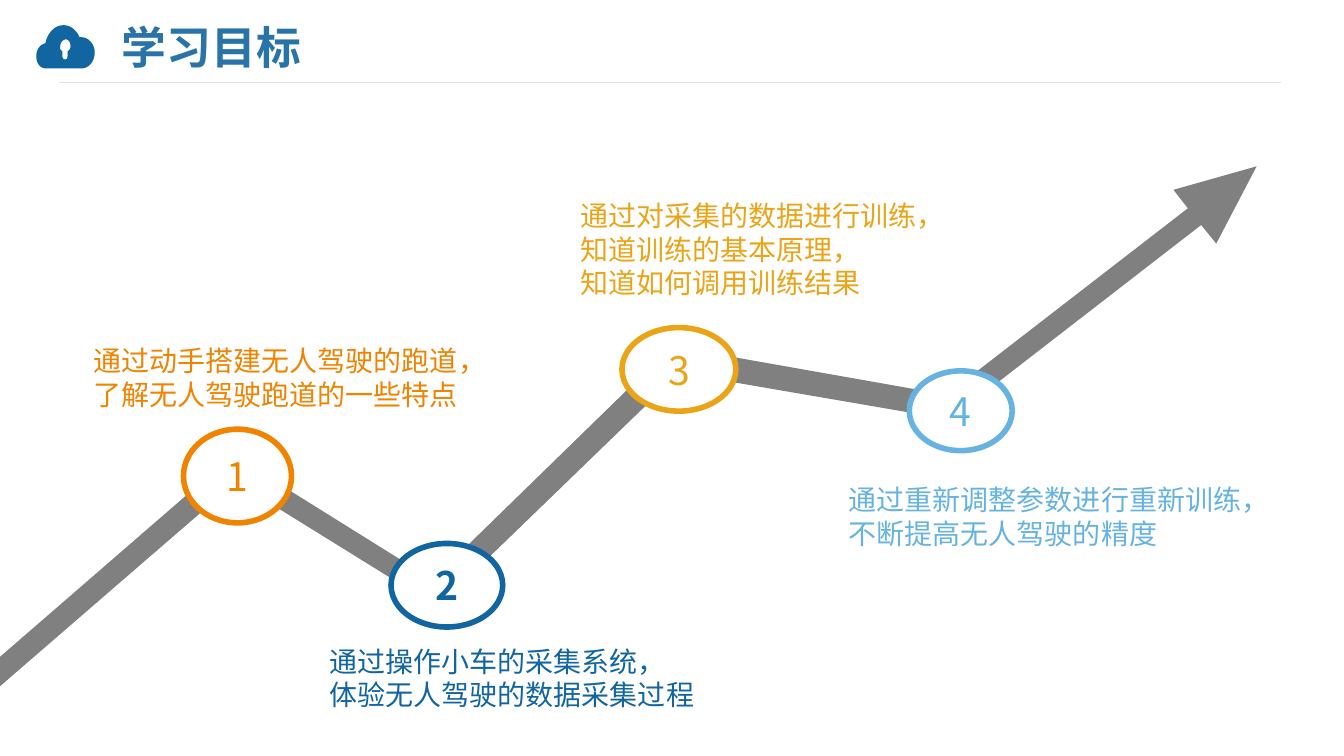
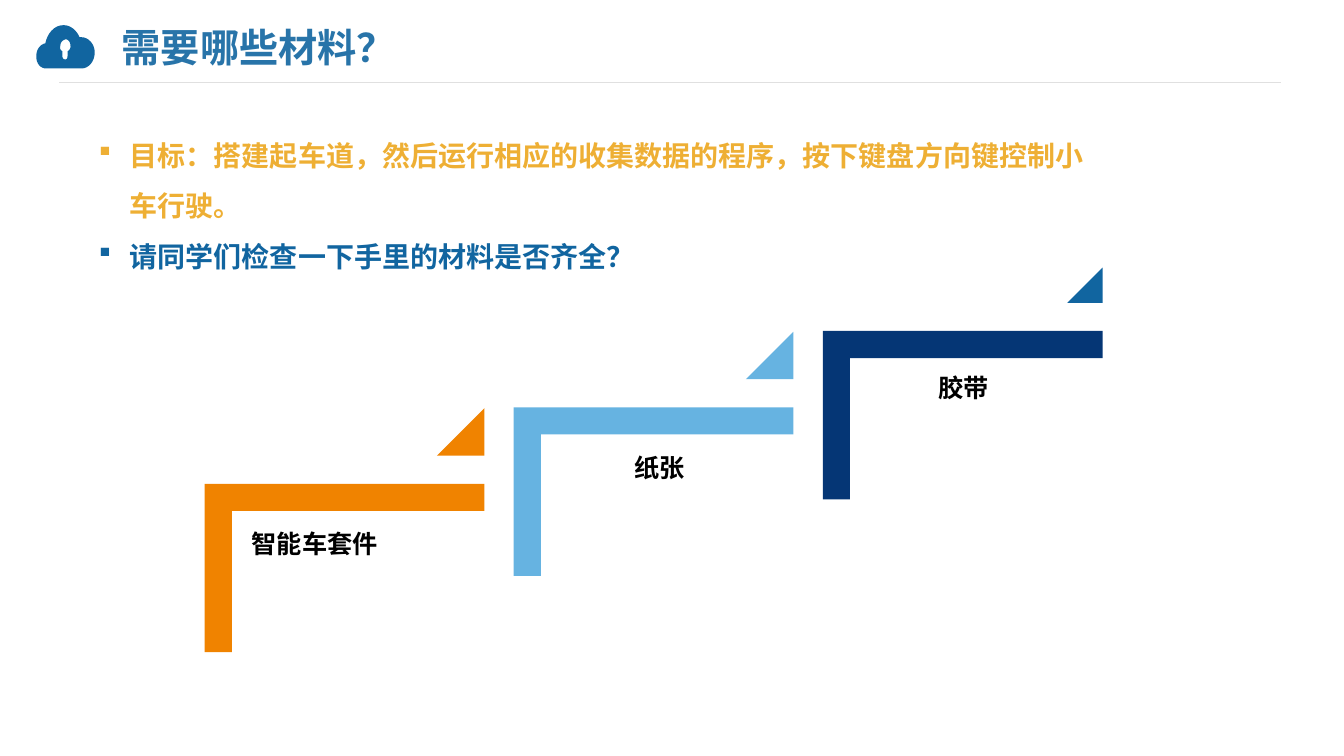
from lxml.etree import SubElement
from pptx import Presentation
from pptx.dml.color import RGBColor
from pptx.enum.shapes import MSO_CONNECTOR, MSO_SHAPE
from pptx.enum.text import MSO_ANCHOR, PP_ALIGN
from pptx.oxml.ns import qn
from pptx.util import Inches, Pt

# The slide is a grid of 160 columns by 90 rows; every length is in cells.
CELL = Inches(1 / 12)
COLS, ROWS = 160, 90
FONT = "Noto Sans CJK SC"

BLUE, NAVY, SKY = "1165A0", "053675", "66B3E1"
ORANGE, GOLD, AMBER = "F08300", "EBA417", "EEAF34"
TITLE_BLUE, GREY, RULE_GREY = "2874A9", "808080", "E0E0E0"
BLACK, WHITE = "000000", "FFFFFF"

# Icon outline in hundredths of an inch: start, then cubic curves;
# a single point is a straight segment.
CLOUD = [(81, 37), [(80, 37), (80, 37), (79, 37)], [(76, 30), (70, 25), (63, 25)],
         [(54, 25), (47, 33), (45, 43)], [(40, 44), (36, 49), (36, 56)],
         [(36, 63), (40, 68), (46, 68)], [(81, 68)],
         [(88, 68), (94, 61), (94, 52)], [(94, 44), (88, 37), (81, 37)]]
KEYHOLE = [(67, 51), [(67, 56)], [(67, 58), (66, 59), (65, 59)],
           [(63, 59), (62, 58), (62, 56)], [(62, 51)], [(60, 50), (59, 48), (60, 45)],
           [(60, 42), (62, 40), (65, 39)], [(68, 39), (70, 42), (70, 46)],
           [(70, 48), (69, 50), (67, 51)]]

ROAD = [(0, 78.2), (27, 54.8), (27.6, 54.4), (28.4, 54.6), (51.5, 69), (79.4, 41.8),
        (80.4, 40.4), (81.6, 41.5), (112.7, 47), (141.8, 24.5), (143.5, 26.4),
        (113.4, 49.7), (112.6, 50.4), (111.7, 49.7), (80.9, 44.4), (53, 71.4),
        (52.6, 72.2), (51.5, 71.9), (28.1, 57.4), (0, 81.7)]
ARROWHEAD = [(149.6, 19.8), (139.7, 22.6), (142.2, 25.8), (144.8, 29)]

# Colour, ellipse box, text box, lines
GOALS = [
    (ORANGE, (21.85, 51.1, 12.85, 11.15), (9.95, 40.3, 54.5, 9.25),
     ["通过动手搭建无人驾驶的跑道，", "了解无人驾驶跑道的一些特点"]),
    (BLUE, (46.55, 64.7, 13.3, 9.95), (38.05, 76.1, 54, 11.3),
     ["通过操作小车的采集系统，", "体验无人驾驶的数据采集过程"]),
    (GOLD, (74.05, 39, 13.55, 9.95), (67.9, 23.05, 63.85, 14.65),
     ["通过对采集的数据进行训练，", "知道训练的基本原理，", "知道如何调用训练结果"]),
    (SKY, (108.25, 44.15, 12.25, 9.5), (99.85, 56.9, 55.45, 9.5),
     ["通过重新调整参数进行重新训练，", "不断提高无人驾驶的精度"]),
]

# Label, step colour, flag colour, flag size, label offset from the step's corner
MATERIALS = [
    ("智能车套件", ORANGE, ORANGE, 5.65, (3.2, 3.35)),
    ("纸张", SKY, SKY, 5.65, (12, 3.35)),
    ("胶带", NAVY, BLUE, 4.2, (11.35, 2.95)),
]
BULLETS = [
    ("目标：搭建起车道，然后运行相应的收集数据的程序，按下键盘方向键控制小车行驶。", AMBER),
    ("请同学们检查一下手里的材料是否齐全？", BLUE),
]


def rgb(color):
    return RGBColor.from_string(color)


def cells(*values):
    return [round(v * CELL) for v in values]


def paint(sp, fill, line=None, width=4):
    sp.shadow.inherit = False
    sp.fill.solid()
    sp.fill.fore_color.rgb = rgb(fill)
    if line:
        sp.line.color.rgb = rgb(line)
        sp.line.width = Pt(width)
    else:
        sp.line.fill.background()
    return sp


def add_preset(s, kind, box, fill, line=None):
    return paint(s.shapes.add_shape(kind, *cells(*box)), fill, line)


def add_outline(s, contours, fill, unit=CELL):
    """Draw closed contours as one shape; the later ones are holes."""
    first, *holes = [[(x * unit, y * unit) for x, y in contour] for contour in contours]
    builder = s.shapes.build_freeform(*first[0])
    builder.add_line_segments(first[1:], close=True)
    for hole in holes:
        builder.move_to(*hole[0])
        builder.add_line_segments(hole[1:], close=True)
    return paint(builder.convert_to_shape(), fill)


def flatten(outline, steps=8):
    """Turn cubic curves into short straight segments."""
    points = [outline[0]]
    for segment in outline[1:]:
        if len(segment) == 1:
            points += segment
            continue
        curve = [points[-1], *segment]
        for i in range(1, steps + 1):
            t = i / steps
            weights = ((1 - t) ** 3, 3 * t * (1 - t) ** 2, 3 * t * t * (1 - t), t ** 3)
            points.append(tuple(sum(w * pt[axis] for w, pt in zip(weights, curve))
                                for axis in (0, 1)))
    return points


def write(p, text, size, color, bold=False, latin=FONT):
    r = p.add_run()
    r.text = text
    r.font.size = Pt(size)
    r.font.bold = bold
    r.font.name = latin
    r.font.color.rgb = rgb(color)
    SubElement(r.font._element, qn("a:ea"), typeface=FONT)


def add_text(s, box, lines, size, color, bold=False):
    tf = s.shapes.add_textbox(*cells(*box)).text_frame
    tf.word_wrap = True
    for i, line in enumerate(lines):
        p = tf.add_paragraph() if i else tf.paragraphs[0]
        write(p, line, size, color, bold)
    return tf


def set_insets(tf, left, top, right, bottom):
    tf.margin_left, tf.margin_top = Inches(left), Inches(top)
    tf.margin_right, tf.margin_bottom = Inches(right), Inches(bottom)


def add_slide(prs, title, size):
    """Add a slide with the shared rule, icon and title."""
    s = prs.slides.add_slide(prs.slide_layouts[6])
    rule = s.shapes.add_connector(MSO_CONNECTOR.STRAIGHT, *cells(152.5, 9.84, 7, 9.84))
    rule.line.color.rgb = rgb(RULE_GREY)
    rule.line.width = Pt(0.75)
    SubElement(rule._element.spPr, qn("a:effectLst"))
    add_outline(s, [flatten(CLOUD), flatten(KEYHOLE)], BLUE, Inches(0.01))
    tf = add_text(s, (14.5, 2.4, 106.7, 6.25), [title], size, TITLE_BLUE, True)
    set_insets(tf, 0, 0, 0, 0)
    tf.vertical_anchor = MSO_ANCHOR.MIDDLE
    return s


def add_goal(s, number, color, ellipse, box, lines):
    tf = add_preset(s, MSO_SHAPE.OVAL, ellipse, WHITE, color).text_frame
    tf.word_wrap = False
    tf.vertical_anchor = MSO_ANCHOR.MIDDLE
    p = tf.paragraphs[0]
    p.alignment = PP_ALIGN.CENTER
    write(p, str(number), 28, color, bold=number == 2)
    add_text(s, box, lines, 20, color)


def add_step(s, index, label, color, flag_color, flag, offset):
    """Draw one stair step with its label and the triangle above its right end."""
    left, top = 24.36 + 36.8 * index, 57.6 - 9.1 * index
    width, height = 33.3, 20.05
    shift = (width - height) / 2
    corner = add_preset(s, MSO_SHAPE.CORNER,
                        (left + shift, top - shift, height, width), color)
    corner.rotation = 90
    corner.adjustments[0] = corner.adjustments[1] = 0.161
    tf = add_text(s, (left + offset[0], top + offset[1], 30, 26.3), [label], 18, BLACK, True)
    set_insets(tf, 0.2, 0.2, 0, 0.07)
    tf.paragraphs[0].line_spacing = 0.9
    triangle = add_preset(s, MSO_SHAPE.ISOSCELES_TRIANGLE,
                          (left + width - flag, top - 3.35 - flag, flag, flag), flag_color)
    triangle.adjustments[0] = 1


def add_bullets(s, box, items):
    tf = add_text(s, box, [], 20, BLUE)
    for i, (text, color) in enumerate(items):
        p = tf.add_paragraph() if i else tf.paragraphs[0]
        p.line_spacing = 1.5
        pPr = p._p.get_or_add_pPr()
        pPr.set("marL", str(Inches(0.31)))
        pPr.set("indent", str(-Inches(0.31)))
        SubElement(pPr, qn("a:buFont"), typeface="Wingdings")
        SubElement(pPr, qn("a:buChar"), char="§")
        write(p, text, 20, color, True, "Calibri")


def main():
    prs = Presentation()
    prs.slide_width, prs.slide_height = cells(COLS, ROWS)

    s = add_slide(prs, "学习目标", 32)
    add_outline(s, [ROAD], GREY)
    add_outline(s, [ARROWHEAD], GREY)
    for number, goal in enumerate(GOALS, 1):
        add_goal(s, number, *goal)

    s = add_slide(prs, "需要哪些材料？", 28)
    for index, material in enumerate(MATERIALS):
        add_step(s, index, *material)
    add_bullets(s, (10.55, 13.9, 122.3, 18.7), BULLETS)

    prs.save("out.pptx")


if __name__ == "__main__":
    main()
